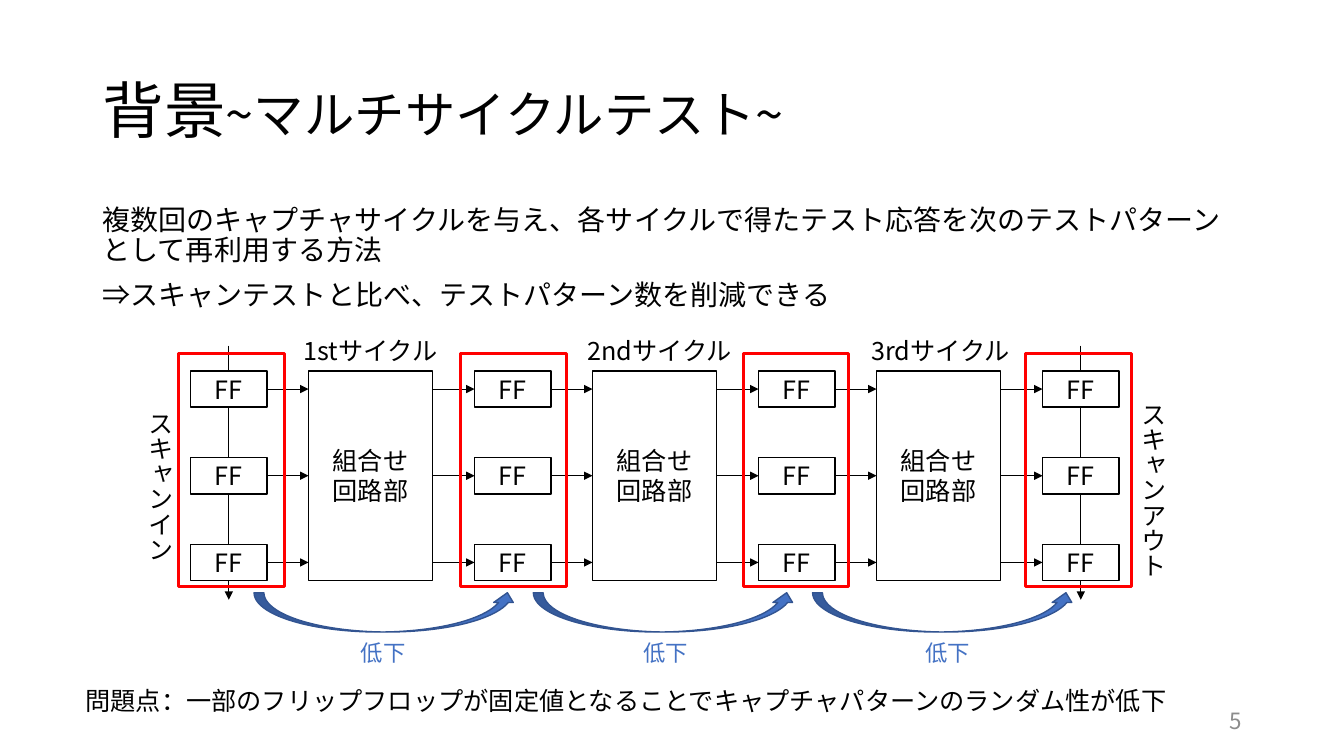
"""Build the multi-cycle test background slide with its scan circuit diagram."""
from dataclasses import dataclass

from lxml import etree
from pptx import Presentation
from pptx.dml.color import RGBColor
from pptx.enum.shapes import MSO_CONNECTOR, MSO_SHAPE
from pptx.enum.text import MSO_ANCHOR, PP_ALIGN
from pptx.oxml.ns import qn
from pptx.util import Inches, Pt

STRAIGHT = MSO_CONNECTOR.STRAIGHT
RECTANGLE, CURVED_ARROW = MSO_SHAPE.RECTANGLE, MSO_SHAPE.CURVED_UP_ARROW
TOP, MIDDLE = MSO_ANCHOR.TOP, MSO_ANCHOR.MIDDLE
LEFT, CENTER, RIGHT = PP_ALIGN.LEFT, PP_ALIGN.CENTER, PP_ALIGN.RIGHT


@dataclass(frozen=True)
class Theme:
    font: str = "Noto Sans CJK JP"
    black: str = "000000"
    white: str = "FFFFFF"
    gray: str = "8C8C8C"
    red: str = "FF0000"
    blue: str = "4472C4"
    dark_blue: str = "325491"
    title: int = 44
    subtitle: int = 36
    body: int = 20
    label: int = 18
    small: int = 16


theme = Theme()
presentation = Presentation()
presentation.slide_width, presentation.slide_height = Inches(13.33), Inches(7.5)
slide = presentation.slides.add_slide(presentation.slide_layouts[6])


def add_text(box, paragraphs, shape_type=None, fill=None, line=None, line_width=1,
             size=theme.label, color=theme.black, align=LEFT, anchor=TOP,
             line_spacing=1.0, space_before=0, vertical=False):
    """Add a text box or preset shape; each paragraph is a list of (text, size) runs or a string."""
    bounds = [Inches(length) for length in box]
    if shape_type is None:
        shape = slide.shapes.add_textbox(*bounds)
    else:
        shape = slide.shapes.add_shape(shape_type, *bounds)
        shape.shadow.inherit = False
        shape.line.color.rgb = RGBColor.from_string(line)
        shape.line.width = Pt(line_width)
        if fill:
            shape.fill.solid()
            shape.fill.fore_color.rgb = RGBColor.from_string(fill)
        else:
            shape.fill.background()
    frame = shape.text_frame
    frame.word_wrap = True
    frame.vertical_anchor = anchor
    if vertical:
        frame._txBody.bodyPr.set("vert", "eaVert")
    for index, content in enumerate(paragraphs):
        paragraph = frame.add_paragraph() if index else frame.paragraphs[0]
        paragraph.alignment = align
        paragraph.line_spacing = line_spacing
        paragraph.space_before = Pt(space_before)
        runs = [(content, size)] if isinstance(content, str) else content
        for text, run_size in runs:
            run = paragraph.add_run()
            run.text = text
            run.font.size = Pt(run_size)
            run.font.name = theme.font
            run.font.color.rgb = RGBColor.from_string(color)
            east_asian = etree.SubElement(run.font._element, qn("a:ea"))
            east_asian.set("typeface", theme.font)


def add_arrow(start_x, start_y, end_x, end_y):
    """Add a thin black arrow."""
    arrow = slide.shapes.add_connector(
        STRAIGHT, Inches(start_x), Inches(start_y), Inches(end_x), Inches(end_y))
    arrow.line.color.rgb = RGBColor.from_string(theme.black)
    arrow.line.width = Pt(0.5)
    etree.SubElement(arrow.line._get_or_add_ln(), qn("a:tailEnd")).set("type", "triangle")
    etree.SubElement(arrow._element.spPr, qn("a:effectLst"))


add_text((0.92, 0.4, 11.5, 1.45),
         [[("背景", theme.title), ("~マルチサイクルテスト~", theme.subtitle)]],
         anchor=MIDDLE, line_spacing=0.9)
add_text((0.92, 2, 11.5, 1.3),
         ["複数回のキャプチャサイクルを与え、各サイクルで得たテスト応答を次のテストパターンとして再利用する方法",
          "⇒スキャンテストと比べ、テストパターン数を削減できる"],
         size=theme.body, line_spacing=0.9, space_before=10)

column_pitch = 8.45 / 3
flip_flop_lefts = [1.89 + column_pitch * column for column in range(4)]
flip_flop_tops = [3.68 + 0.86 * row for row in range(3)]
flip_flop_width, flip_flop_height = 0.76, 0.36
logic_offset, logic_width, logic_height = 1.17, 1.23, 2.08

for left in (flip_flop_lefts[0], flip_flop_lefts[-1]):
    scan_x = left + flip_flop_width / 2
    add_arrow(scan_x, 3.43, scan_x, 5.95)

for left in flip_flop_lefts:
    for top in flip_flop_tops:
        add_text((left, top, flip_flop_width, flip_flop_height), ["FF"], RECTANGLE,
                 theme.white, theme.black, align=CENTER, anchor=MIDDLE)

for left, cycle in zip(flip_flop_lefts, ("1st", "2nd", "3rd")):
    logic_left = left + logic_offset
    add_text((logic_left, flip_flop_tops[0], logic_width, logic_height), ["組合せ", "回路部"],
             RECTANGLE, theme.white, theme.black, align=CENTER, anchor=MIDDLE)
    add_text((logic_left - 0.15, 3.28, 1.75, 0.38), [f"{cycle}サイクル"])
    for top in flip_flop_tops:
        arrow_y = top + flip_flop_height / 2
        add_arrow(left + flip_flop_width, arrow_y, logic_left, arrow_y)
        add_arrow(logic_left + logic_width, arrow_y, left + column_pitch, arrow_y)

add_text((1.29, 3.98, 0.5, 1.74), ["スキャンイン"], vertical=True)
add_text((11.14, 3.89, 0.5, 2.05), ["スキャンアウト"], vertical=True)

for column in range(3):
    add_text((2.52 + 2.77 * column, 5.88, 2.61, 0.39), [], CURVED_ARROW,
             theme.blue, theme.dark_blue)
    add_text((3.48 + 2.8 * column, 6.29, 0.71, 0.37), ["低下"],
             size=theme.small, color=theme.blue)
for column in range(4):
    add_text((1.77 + 2.8 * column, 3.51, 1.05, 2.31), [], RECTANGLE,
             line=theme.red, line_width=2.25)

add_text((0.75, 6.75, 11.03, 0.4),
         ["問題点：一部のフリップフロップが固定値となることでキャプチャパターンのランダム性が低下"])
add_text((9.42, 6.95, 3, 0.4), ["5"], size=theme.small, color=theme.gray,
         align=RIGHT, anchor=MIDDLE)

presentation.save("out.pptx")
